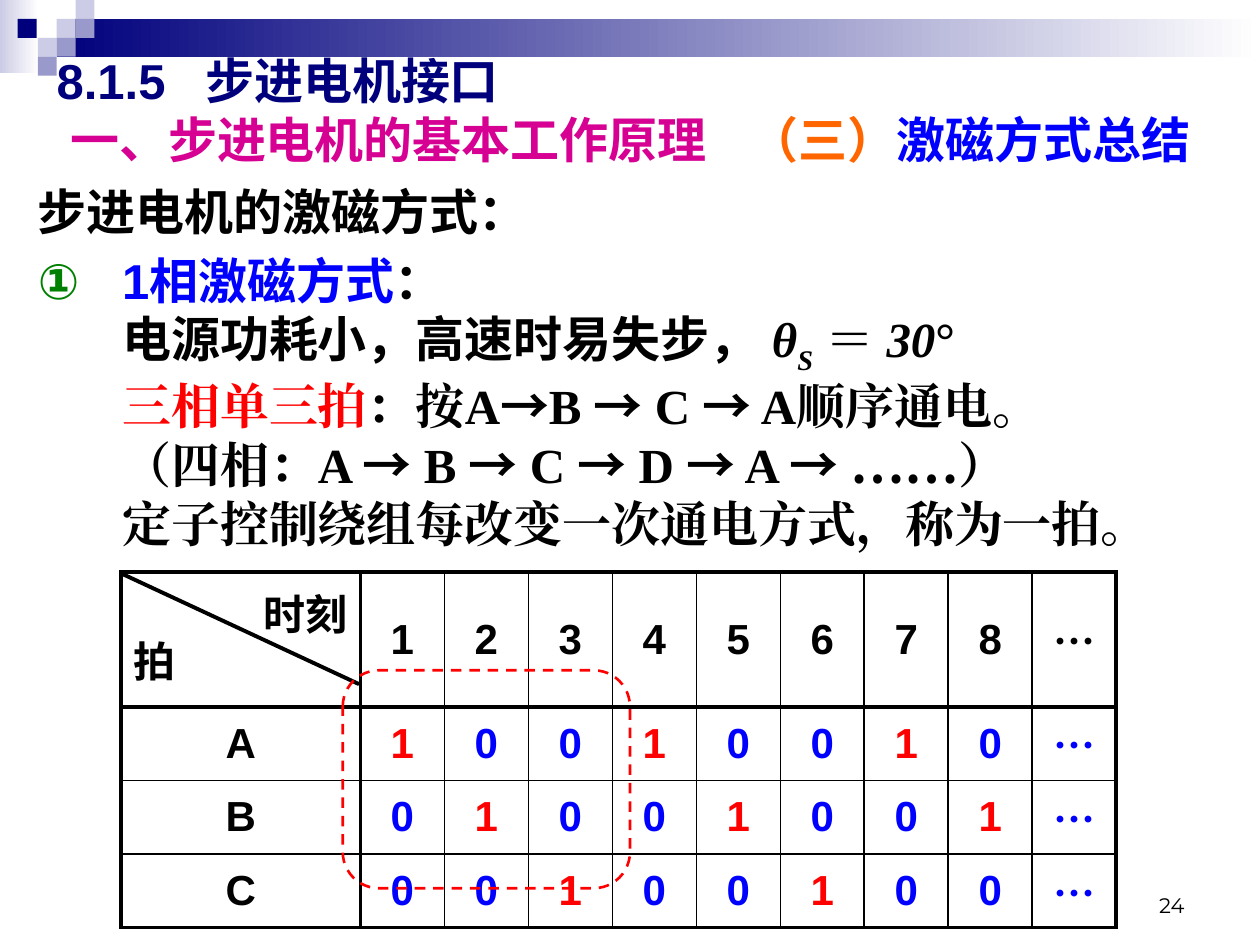
from itertools import groupby

from lxml import etree
from pptx import Presentation
from pptx.dml.color import RGBColor
from pptx.enum.dml import MSO_LINE
from pptx.enum.shapes import MSO_CONNECTOR, MSO_SHAPE
from pptx.enum.text import MSO_ANCHOR, MSO_AUTO_SIZE, PP_ALIGN
from pptx.oxml.ns import qn
from pptx.util import Inches, Pt

COLORS = {
    "black": "000000", "white": "FFFFFF", "navy": "00007D", "lilac": "CCCCE6",
    "violet": "9999CC", "magenta": "D60093", "orange": "FF6600",
    "blue": "0000FF", "red": "FF0000", "green": "008000",
}
SERIF, SYMBOL = "Times New Roman", "Noto Sans CJK SC"
THICK, THIN = 2.25, 1


def color(name):
    return RGBColor.from_string(COLORS[name])


def child(parent, tag, **attributes):
    node = etree.SubElement(parent, qn(tag))
    for key, value in attributes.items():
        node.set(key, str(value))
    return node


def write(paragraph, text, size=28, font="Arial", ink="black", bold=True,
          italic=False, baseline=0):
    """Add text; newlines become line breaks, arrows and dots get the symbol font."""
    for number, line in enumerate(text.split("\n")):
        if number:
            paragraph.add_line_break()
        for is_symbol, letters in groupby(line, lambda letter: letter in "→…"):
            run = paragraph.add_run()
            run.text = "".join(letters)
            run.font.size, run.font.bold, run.font.italic = Pt(size), bold, italic
            run.font.name = SYMBOL if is_symbol else font
            run.font.color.rgb = color(ink)
            properties = run.font._element
            child(properties, "a:ea", typeface=font)
            if baseline:
                properties.set("baseline", str(baseline * 1000))


class SlideBuilder:
    def __init__(self, slide):
        self.slide = slide
        self.shapes = slide.shapes

    def block(self, left, top, width, height, fill, fade_to=None):
        shape = self.shapes.add_shape(MSO_SHAPE.RECTANGLE, *map(Inches, (left, top, width, height)))
        shape.shadow.inherit = False
        shape.line.fill.background()
        if fade_to:
            shape.fill.gradient()
            shape.fill.gradient_angle = 0
            for stop, name in zip(shape.fill.gradient_stops, (fill, fade_to)):
                stop.color.rgb = color(name)
        else:
            shape.fill.solid()
            shape.fill.fore_color.rgb = color(fill)

    def frame(self, left, top, width, height):
        shape = self.shapes.add_shape(MSO_SHAPE.ROUNDED_RECTANGLE,
                                      *map(Inches, (left, top, width, height)))
        shape.shadow.inherit = False
        shape.fill.background()
        shape.line.color.rgb = color("red")
        shape.line.width = Pt(1.5)
        shape.line.dash_style = MSO_LINE.DASH

    def placeholder(self, holder, left, top, width, height, anchor):
        holder.left, holder.top, holder.width, holder.height = map(
            Inches, (left, top, width, height))
        frame = holder.text_frame
        frame.word_wrap = True
        frame.auto_size = MSO_AUTO_SIZE.NONE
        frame.vertical_anchor = anchor
        return frame

    def label(self, left, top, width, height, text, **style):
        frame = self.shapes.add_textbox(*map(Inches, (left, top, width, height))).text_frame
        frame.word_wrap = True
        frame.vertical_anchor = MSO_ANCHOR.BOTTOM
        frame.paragraphs[0].alignment = PP_ALIGN.RIGHT
        write(frame.paragraphs[0], text, **style)

    def line(self, x1, y1, x2, y2):
        connector = self.shapes.add_connector(MSO_CONNECTOR.STRAIGHT,
                                              *map(Inches, (x1, y1, x2, y2)))
        connector.line.color.rgb = color("black")
        connector.line.width = Pt(THICK)
        child(connector._element.spPr, "a:effectLst")

    def table(self, left, top, widths, heights):
        table = self.shapes.add_table(len(heights), len(widths), Inches(left), Inches(top),
                                      Inches(sum(widths)), Inches(sum(heights))).table
        table.first_row = table.horz_banding = False
        for column, width in zip(table.columns, widths):
            column.width = Inches(width)
        for row, height in zip(table.rows, heights):
            row.height = Inches(height)
        last_row, last_column = len(heights) - 1, len(widths) - 1
        for r, row in enumerate(table.rows):
            for c, cell in enumerate(row.cells):
                cell.vertical_anchor = MSO_ANCHOR.MIDDLE
                # Heavy lines go round the table and its header row and column
                heavy = {"L": c <= 1, "R": c in (0, last_column),
                         "T": r <= 1, "B": r in (0, last_row)}
                for side, is_heavy in heavy.items():
                    border = child(cell._tc.get_or_add_tcPr(), f"a:ln{side}",
                                   w=Pt(THICK if is_heavy else THIN))
                    child(child(border, "a:solidFill"), "a:srgbClr", val=COLORS["black"])
                cell.fill.background()
        return table


def main():
    deck = Presentation()
    deck.slide_width, deck.slide_height = Inches(10), Inches(7.5)
    builder = SlideBuilder(deck.slides.add_slide(deck.slide_layouts[1]))

    # Banner and its mosaic of squares
    builder.block(0, 0, 0.31, 0.58, "lilac", fade_to="white")
    builder.block(0.45, 0.15, 9.55, 0.3, "navy", fade_to="white")
    for left, top, fill in [(0.45, 0.15, "lilac"), (0.6, 0, "lilac"), (0.6, 0.15, "violet"),
                            (0.3, 0.3, "lilac"), (0.14, 0.15, "navy"),
                            (0.45, 0.3, "violet"), (0.3, 0.45, "violet")]:
        builder.block(left, top, 0.15, 0.15, fill)

    # Title
    heading = builder.placeholder(builder.shapes.title, 0.35, 0.36, 9.37, 1.02,
                                  MSO_ANCHOR.MIDDLE).paragraphs[0]
    heading.alignment = PP_ALIGN.LEFT
    tabs = child(heading._p.get_or_add_pPr(), "a:tabLst")
    for stop in (1.18, 5.5):
        child(tabs, "a:tab", pos=Inches(stop), algn="l")
    write(heading, "8.1.5\t步进电机接口\n ", ink="navy")
    write(heading, "一、步进电机的基本工作原理\t", ink="magenta")
    write(heading, "（三）", ink="orange")
    write(heading, "激磁方式总结", ink="blue")

    # Excitation modes
    body = builder.placeholder(builder.slide.placeholders[1], 0.2, 1.39, 9.61, 5.91,
                               MSO_ANCHOR.TOP)
    intro, mode = body.paragraphs[0], body.add_paragraph()
    for paragraph in (intro, mode):
        properties = paragraph._p.get_or_add_pPr()
        properties.set("marL", str(Inches(0.67)))
        properties.set("indent", str(-Inches(0.67)))
    child(intro._p.pPr, "a:buNone")
    child(child(mode._p.pPr, "a:buClr"), "a:srgbClr", val=COLORS["green"])
    child(mode._p.pPr, "a:buFont", typeface="Arial")
    child(mode._p.pPr, "a:buAutoNum", type="circleNumDbPlain")
    intro.space_before, mode.space_before = Pt(0), Pt(5.6)
    write(intro, "步进电机的激磁方式：")
    write(mode, "1相激磁方式", ink="blue")
    write(mode, "：\n电源功耗小，高速时易失步， ")
    write(mode, "θ", font=SERIF, italic=True)
    write(mode, "S", font=SERIF, italic=True, baseline=-25)
    write(mode, " ＝ ", font=SERIF)
    write(mode, "30", font=SERIF, italic=True)
    write(mode, "°\n", font=SERIF)
    write(mode, "三相单三拍", font=SERIF, ink="red")
    write(mode, "：按A→B → C → A顺序通电。\n（四相：A → B → C → D → A → ……）\n"
                "定子控制绕组每改变一次通电方式，称为一拍。", font=SERIF)

    # Energising sequence: phases against time
    sequence = builder.table(0.96, 4.54, [1.9] + [6 / 9] * 9, [1.07] + [0.58] * 3)
    corner = sequence.cell(0, 0).text_frame
    corner.paragraphs[0].alignment = PP_ALIGN.RIGHT
    write(corner.paragraphs[0], "时刻", size=24)
    write(corner.add_paragraph(), "拍", size=24)
    rows = [" 12345678…", "A10010010…", "B01001001…", "C00100100…"]
    for r, row in enumerate(rows):
        for c, value in enumerate(row):
            if r == c == 0:
                continue
            paragraph = sequence.cell(r, c).text_frame.paragraphs[0]
            paragraph.alignment = PP_ALIGN.CENTER
            ink = "black" if r == 0 or c == 0 else "red" if value == "1" else "blue"
            write(paragraph, value, size=24, ink=ink)

    # Corner diagonal and the frame round one cycle
    builder.line(0.96, 4.55, 2.85, 5.43)
    builder.frame(2.72, 5.32, 2.28, 1.73)

    # Page number
    builder.label(7.17, 6.83, 2.33, 0.5, "24", size=12, font="Montserrat", bold=False)
    deck.save("out.pptx")


if __name__ == "__main__":
    main()
